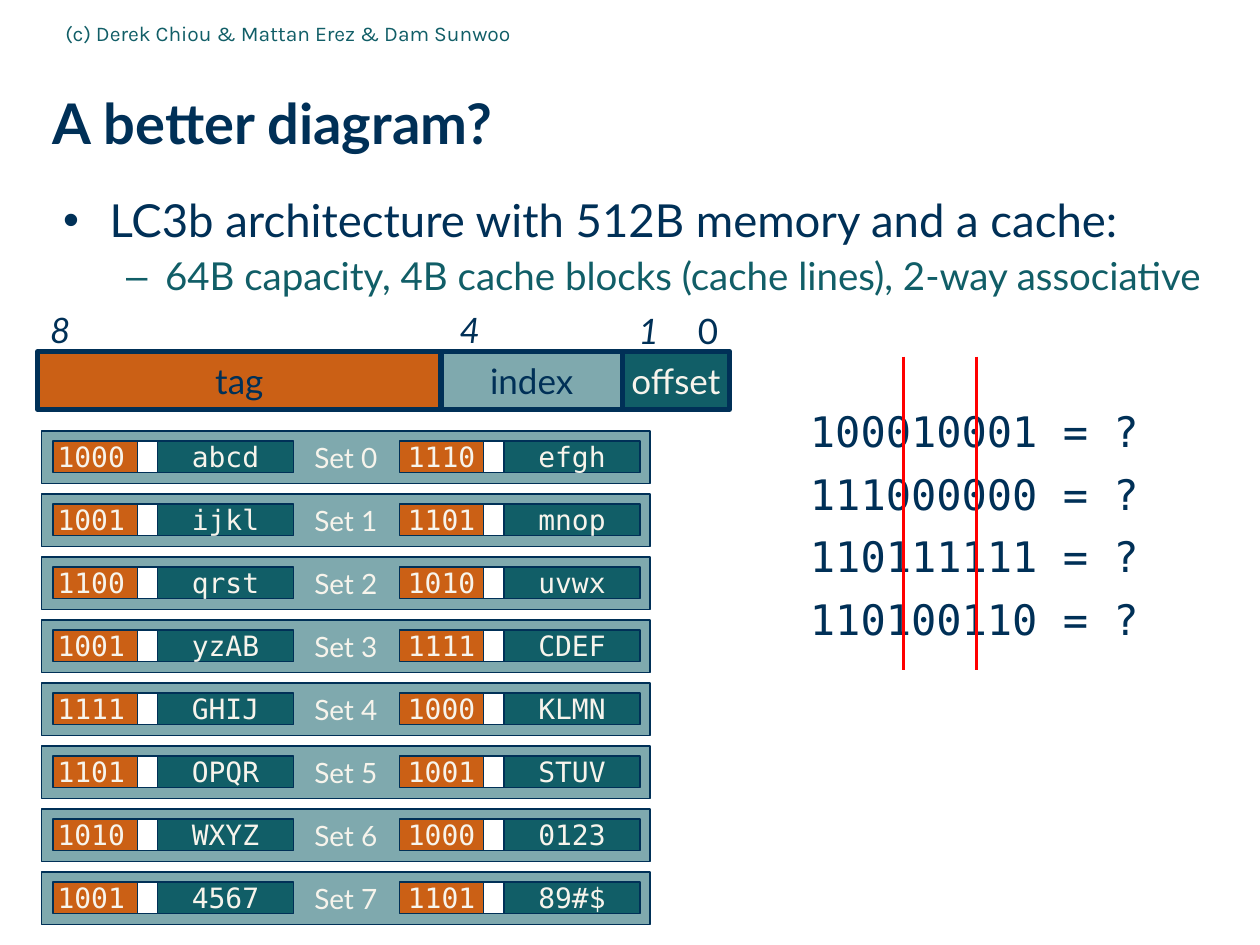
"""Build a slide that maps addresses onto a two-way set-associative cache."""
import lxml.etree
import pptx
import pptx.dml.color
import pptx.enum.shapes
import pptx.enum.text
import pptx.oxml.ns
import pptx.util

Inches = pptx.util.Inches
ALIGN = pptx.enum.text.PP_ALIGN
MIDDLE = pptx.enum.text.MSO_ANCHOR.MIDDLE
TOP = pptx.enum.text.MSO_ANCHOR.TOP
AUTO_SIZE = pptx.enum.text.MSO_AUTO_SIZE

THEME = {
    "navy": "003057", "teal": "115E67", "mist": "7FA9AE", "orange": "CB6015",
    "cream": "F7F4EC", "white": "FFFFFF", "red": "FF0000",
    "sans": "Lato", "mono": "DejaVu Sans Mono", "credit_font": "Karla",
    "title": 32, "body": 26, "detail": 22, "credit": 12,
    "field": 20, "cell": 16, "address": 24,
}

TITLE = "A better diagram?"
CREDIT = "(c) Derek Chiou & Mattan Erez & Dam Sunwoo"
BULLETS = [
    {"text": "LC3b architecture with 512B memory and a cache:", "level": 0, "mark": "•",
     "size": "body", "color": "navy", "left": 0.37, "hang": 0.37, "before": 6.5},
    {"text": "64B capacity, 4B cache blocks (cache lines), 2-way associative", "level": 1,
     "mark": "–", "size": "detail", "color": "teal", "left": 0.81, "hang": 0.31, "before": 6},
]
FIELDS = [("tag", 3.2, "orange", "navy"), ("index", 1.44, "mist", "navy"),
          ("offset", 0.85, "teal", "cream")]
BIT_NUMBERS = [("8", 0.3, 2.4, True), ("4", 3.55, 2.4, True),
               ("1", 4.97, 2.41, True), ("0", 5.44, 2.41, False)]
CACHE_SETS = [
    (("1000", "abcd"), ("1110", "efgh")),
    (("1001", "ijkl"), ("1101", "mnop")),
    (("1100", "qrst"), ("1010", "uvwx")),
    (("1001", "yzAB"), ("1111", "CDEF")),
    (("1111", "GHIJ"), ("1000", "KLMN")),
    (("1101", "OPQR"), ("1001", "STUV")),
    (("1010", "WXYZ"), ("1000", "0123")),
    (("1001", "4567"), ("1101", "89#$")),
]
WAYS = [(0.42, ALIGN.RIGHT), (3.17, ALIGN.CENTER)]
ADDRESSES = ["100010001 = ?", "111000000 = ?", "110111111 = ?", "110100110 = ?"]
SPLITS = [7.17, 7.75]


def rgb(color):
    return pptx.dml.color.RGBColor.from_string(THEME[color])


def place(shape, left, top, width, height):
    shape.left, shape.top = Inches(left), Inches(top)
    shape.width, shape.height = Inches(width), Inches(height)


def write(para, text, size, color, font="sans", bold=False, italic=False):
    span = para.add_run()
    span.text = text
    span.font.name = THEME[font]
    span.font.size = pptx.util.Pt(THEME[size])
    span.font.color.rgb = rgb(color)
    span.font.bold, span.font.italic = bold, italic


def set_frame(frame, anchor, wrap, margin=None):
    frame.vertical_anchor, frame.word_wrap = anchor, wrap
    if margin is not None:
        frame.margin_left = frame.margin_right = Inches(margin)
        frame.margin_top = frame.margin_bottom = Inches(margin)


def add_bullet(para, mark, color, left, hang):
    properties = para._p.get_or_add_pPr()
    properties.set("marL", str(Inches(left)))
    properties.set("indent", str(-Inches(hang)))
    qn = pptx.oxml.ns.qn
    bullet_color = lxml.etree.SubElement(properties, qn("a:buClr"))
    lxml.etree.SubElement(bullet_color, qn("a:srgbClr"), val=THEME[color])
    lxml.etree.SubElement(properties, qn("a:buChar"), char=mark)


def add_box(page, left, top, width, height, fill, line=0.75, text="", size="cell",
            color="cream", font="sans", align=ALIGN.CENTER):
    box = page.shapes.add_shape(
        pptx.enum.shapes.MSO_SHAPE.RECTANGLE,
        Inches(left), Inches(top), Inches(width), Inches(height))
    box.shadow.inherit = False
    box.fill.solid()
    box.fill.fore_color.rgb = rgb(fill)
    box.line.color.rgb = rgb("navy")
    box.line.width = pptx.util.Pt(line)
    if text:
        set_frame(box.text_frame, MIDDLE, False)
        para = box.text_frame.paragraphs[0]
        para.alignment = align
        write(para, text, size, color, font)


def add_label(page, left, top, width, height, text, size, **style):
    label = page.shapes.add_textbox(Inches(left), Inches(top), Inches(width), Inches(height))
    set_frame(label.text_frame, TOP, False)
    label.text_frame.auto_size = AUTO_SIZE.SHAPE_TO_FIT_TEXT
    write(label.text_frame.paragraphs[0], text, size, "navy", **style)


def add_heading(page):
    title, body = page.shapes.title, page.placeholders[1]
    place(title, 0.42, 0.5, 9.41, 0.98)
    place(body, 0.5, 1.57, 9.33, 0.93)
    for shape, anchor in ((title, MIDDLE), (body, TOP)):
        set_frame(shape.text_frame, anchor, True, 0)
        shape.text_frame.auto_size = AUTO_SIZE.NONE
    para = title.text_frame.paragraphs[0]
    para.alignment, para.line_spacing = ALIGN.LEFT, 0.99
    write(para, TITLE, "title", "navy", bold=True)

    for number, item in enumerate(BULLETS):
        para = body.text_frame.add_paragraph() if number else body.text_frame.paragraphs[0]
        para.level, para.line_spacing = item["level"], 0.9
        para.space_before = pptx.util.Pt(item["before"])
        add_bullet(para, item["mark"], item["color"], item["left"], item["hang"])
        write(para, item["text"], item["size"], item["color"])

    credit = page.shapes.add_textbox(Inches(0.42), Inches(0.03), Inches(5.67), Inches(0.46))
    set_frame(credit.text_frame, MIDDLE, True)
    write(credit.text_frame.paragraphs[0], CREDIT, "credit", "teal", "credit_font")


def add_cache(page):
    for number, blocks in enumerate(CACHE_SETS):
        top = 3.42 + 0.5 * number
        add_box(page, 0.33, top, 4.83, 0.42, "mist", text=f"Set {number}")
        for (left, align), (tag, data) in zip(WAYS, blocks):
            cell_top = top + 0.08
            add_box(page, left + 0.83, cell_top, 1.08, 0.25, "teal", text=data, font="mono")
            add_box(page, left + 0.66, cell_top, 0.17, 0.25, "white")
            add_box(page, left, cell_top, 0.67, 0.25, "orange", text=tag, font="mono",
                    align=align)


def add_address_fields(page):
    left = 0.3
    for name, width, fill, color in FIELDS:
        add_box(page, left, 2.79, width, 0.46, fill, 3, name, "field", color)
        left += width
    for bit, left, top, italic in BIT_NUMBERS:
        add_label(page, left, top, 0.36, 0.44, bit, "field", italic=italic)


def add_lookups(page):
    for number, address in enumerate(ADDRESSES):
        add_label(page, 6.33, 3.17 + 0.497 * number, 2.82, 0.5, address, "address", font="mono")
    for left in SPLITS:
        split = page.shapes.add_connector(
            pptx.enum.shapes.MSO_CONNECTOR.STRAIGHT,
            Inches(left), Inches(2.83), Inches(left), Inches(5.32))
        split.line.color.rgb = rgb("red")
        split.line.width = pptx.util.Pt(1.75)
        lxml.etree.SubElement(split._element.spPr, pptx.oxml.ns.qn("a:effectLst"))


def main():
    deck = pptx.Presentation()
    deck.slide_width, deck.slide_height = Inches(10), Inches(7.5)
    page = deck.slides.add_slide(deck.slide_layouts[1])
    add_heading(page)
    add_cache(page)
    add_address_fields(page)
    add_lookups(page)
    deck.save("out.pptx")


if __name__ == "__main__":
    main()
